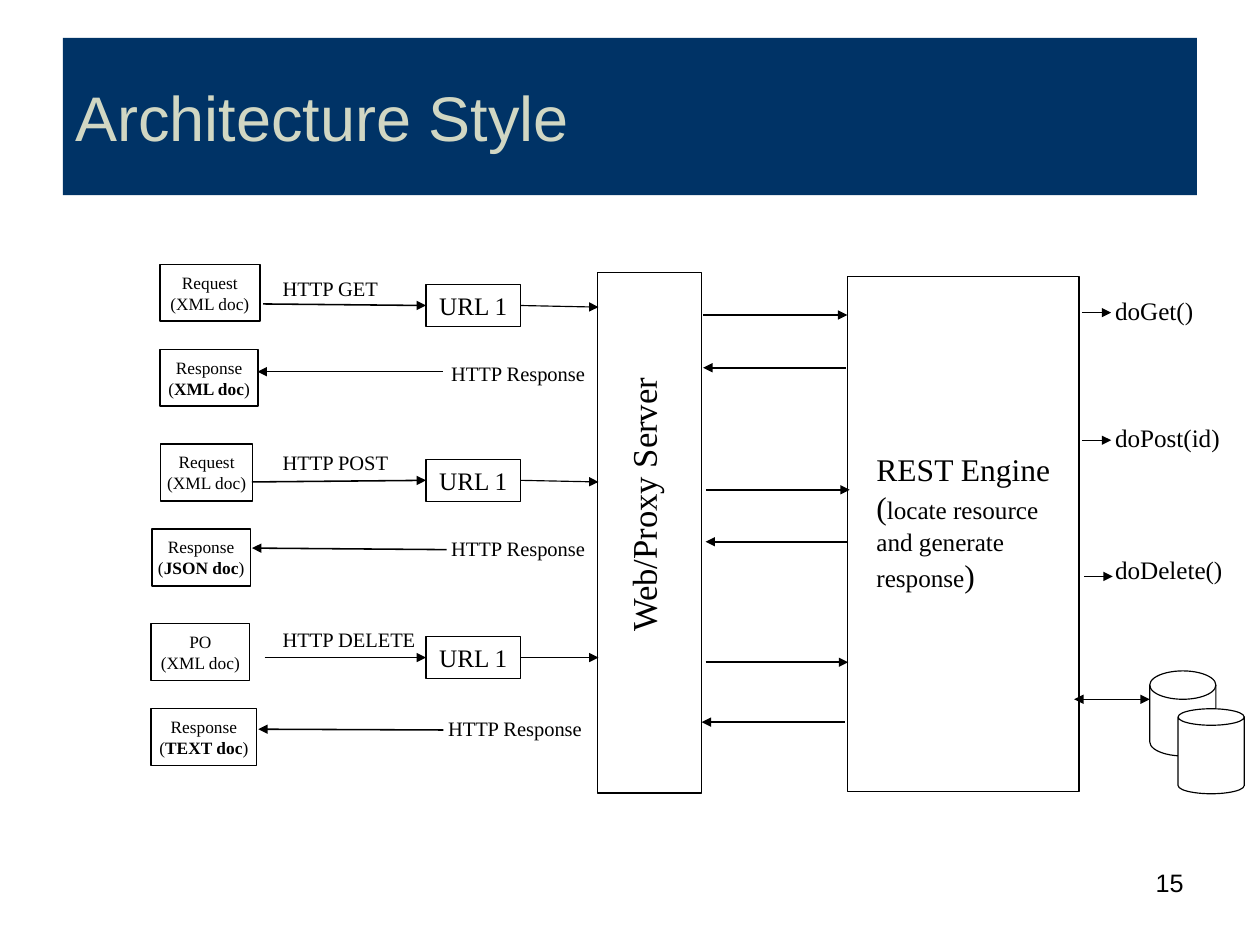
import pptx
import pptx.dml.color
import pptx.enum.shapes
import pptx.enum.text
import pptx.oxml.ns
import pptx.util
from lxml import etree

Pt = pptx.util.Pt
KIND = pptx.enum.shapes.MSO_SHAPE
SIDE = pptx.enum.text.PP_ALIGN
ANCHOR = pptx.enum.text.MSO_ANCHOR
qn = pptx.oxml.ns.qn
BLACK, WHITE = "000000", "FFFFFF"

deck = pptx.Presentation()
deck.slide_width, deck.slide_height = Pt(800), Pt(600)
slide = deck.slides.add_slide(deck.slide_layouts[6])


def paint(fill, hue):
    """Give a shape, line or font fill a solid colour, or none."""
    if hue is None:
        fill.background()
    else:
        fill.solid()
        fill.fore_color.rgb = pptx.dml.color.RGBColor.from_string(hue)


def write(text, spot, size=16, font="Times New Roman", hue=BLACK, align=SIDE.LEFT,
          kind=None, fill=None, line=None, width=1, small=None):
    """Place text in a box or shape; parts between bars are small if set, else bold."""
    spot = [Pt(v) for v in spot]
    if kind is None:
        box = slide.shapes.add_textbox(*spot)
    else:
        box = slide.shapes.add_shape(kind, *spot)
        box.shadow.inherit = False
        paint(box.fill, fill)
        paint(box.line.fill, line)
        if line:
            box.line.width = Pt(width)
    frame = box.text_frame
    frame.word_wrap = align != SIDE.CENTER
    frame.vertical_anchor = ANCHOR.TOP if kind is None else ANCHOR.MIDDLE
    frame.margin_left = frame.margin_right = Pt(8)
    frame.margin_top = frame.margin_bottom = Pt(4)
    for i, words in enumerate(text.split("\n") if text else []):
        para = frame.add_paragraph() if i else frame.paragraphs[0]
        para.alignment = align
        for j, part in enumerate(words.split("|")):
            run = para.add_run()
            run.text = part
            marked = j % 2 == 1
            run.font.name = font
            run.font.size = Pt(small if marked and small else size)
            run.font.bold = marked and not small
            paint(run.font.fill, hue)
    return box


write("Architecture Style", (40, 24, 720, 100), size=40, font="Arial",
      hue="D1D7C3", kind=KIND.RECTANGLE, fill="003366")
write("15", (573, 546.5, 186.5, 42), font="Arial", align=SIDE.RIGHT)

# Web server and engine
panel = dict(kind=KIND.RECTANGLE, fill=WHITE, line=BLACK)
write("", (379.5, 173, 66, 330.5), **panel)
server = write("Web/Proxy Server", (298, 303.5, 220, 34), size=22, align=SIDE.CENTER)
server.rotation = 270
write("", (538, 175.5, 147, 327), **panel)
write("REST Engine\n(|locate resource and generate response|)",
      (548.5, 282, 127.5, 99.5), size=20, small=16)

# Each call: request and response (text, left, width), verb and its top,
# URL top, reply label (left, top), method and its top
calls = [
    (("Request\n(XML doc)", 101.5, 63.5), ("Response\n(|XML doc|)", 101.5, 62.5),
     "HTTP GET", 171.5, 180.5, (278.5, 225.5), "doGet()", 183.5),
    (("Request\n(XML doc)", 102, 58.5), ("Response\n(|JSON doc|)", 96.5, 62.5),
     "HTTP POST", 282, 291.5, (278.5, 336.5), "doPost(id)", 264),
    (("PO\n(XML doc)", 96, 62.5), ("Response\n(|TEXT doc|)", 96, 67),
     "HTTP DELETE", 394, 404, (276.5, 450.5), "doDelete()", 348),
]
urls = []
for i, (ask, reply, verb, verb_y, url_y, note, method, method_y) in enumerate(calls):
    for j, (text, left, width) in enumerate((ask, reply)):
        write(text, (left, 168 + 114 * i + 54 * j, width, 36), size=11,
              align=SIDE.CENTER, **panel)
    write(verb, (171.5, verb_y, 110, 24), size=13)
    write("HTTP Response", (*note, 110, 24), size=13)
    write(method, (700, method_y, 92, 27))
    urls.append(write("URL 1", (270.5, url_y, 60, 27), align=SIDE.CENTER,
                      kind=KIND.RECTANGLE, line=BLACK, width=0.75))

# Database
write("", (730, 426, 42, 54), kind=KIND.FLOWCHART_MAGNETIC_DISK, line=BLACK, width=0.75)
write("", (748, 450, 42, 54), kind=KIND.CAN, fill=WHITE, line=BLACK, width=0.75)

# Arrows: ends, line width, box at the start, box at the end
one, two, three = urls
arrows = [
    (167, 193, 270.5, 194, 1, None, one),
    (160, 306, 270.5, 305, 1, None, two),
    (168, 417.5, 270.5, 417.5, 1, None, three),
    (330.5, 194, 380, 195, 0.75, one, None),
    (330.5, 305, 380, 306, 0.75, two, None),
    (330.5, 417.5, 380, 417.5, 0.75, three, None),
    (281, 236, 163.5, 236, 1, None, None),
    (283.5, 349, 160, 348, 1, None, None),
    (281.5, 463.5, 164, 463, 1, None, None),
    (446.5, 200, 538, 200, 1, None, None),
    (448.5, 311, 539.5, 311, 1, None, None),
    (448, 420.5, 538.5, 420.5, 1, None, None),
    (537, 233.5, 446.5, 233.5, 1, None, None),
    (538.5, 344, 448, 344, 1, None, None),
    (536.5, 458.5, 445.5, 458.5, 1, None, None),
    (687, 198.5, 705.5, 198.5, 0.75, None, None),
    (687, 279.5, 705.5, 279.5, 0.75, None, None),
    (688.5, 366, 706.5, 366, 0.75, None, None),
    (682, 444, 730, 444, 0.75, None, None),
]
for *ends, width, start, stop in arrows:
    arrow = slide.shapes.add_connector(
        pptx.enum.shapes.MSO_CONNECTOR.STRAIGHT, *[Pt(v) for v in ends])
    if start:
        arrow.begin_connect(start, 3)
    if stop:
        arrow.end_connect(stop, 1)
    paint(arrow.line.fill, BLACK)
    arrow.line.width = Pt(width)
    props = arrow.element.spPr
    line = props.find(qn("a:ln"))
    if ends[0] == 682:  # the database link points both ways
        etree.SubElement(line, qn("a:headEnd"), type="triangle")
    etree.SubElement(line, qn("a:tailEnd"), type="triangle")
    etree.SubElement(props, qn("a:effectLst"))

deck.save("out.pptx")
